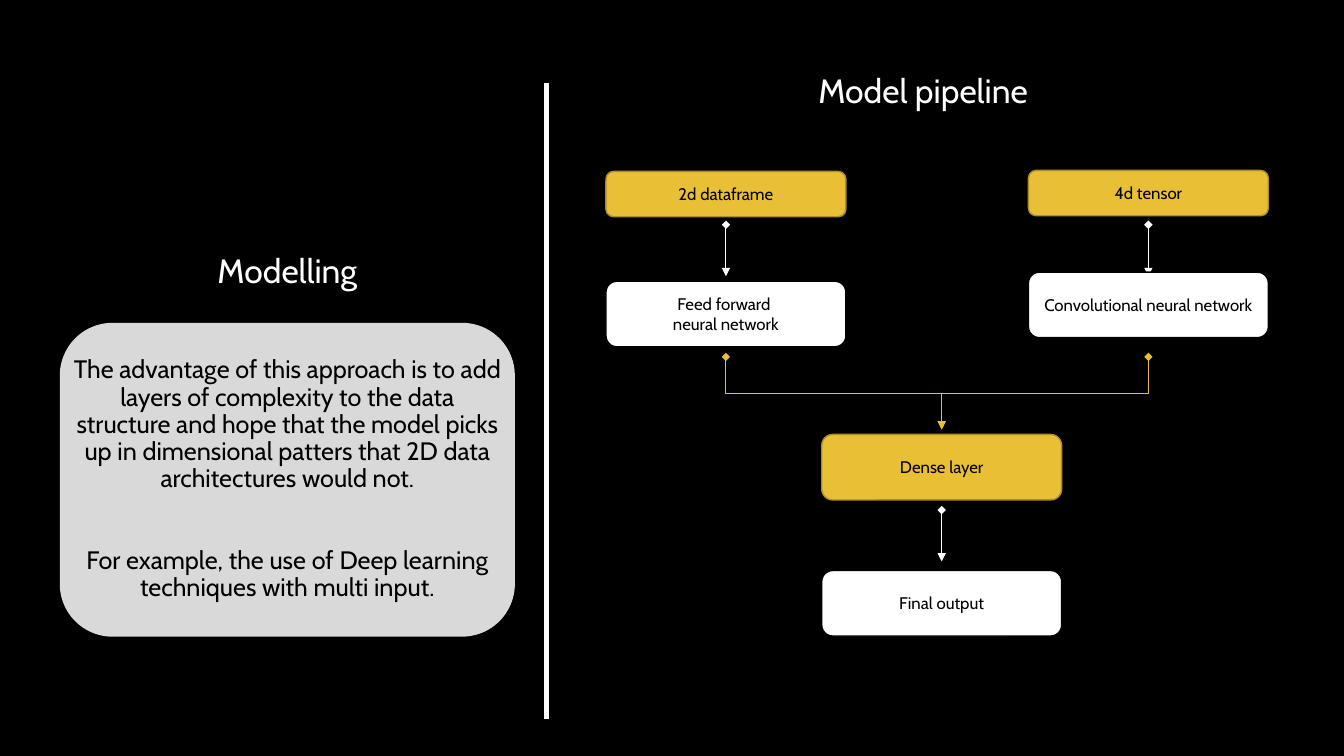
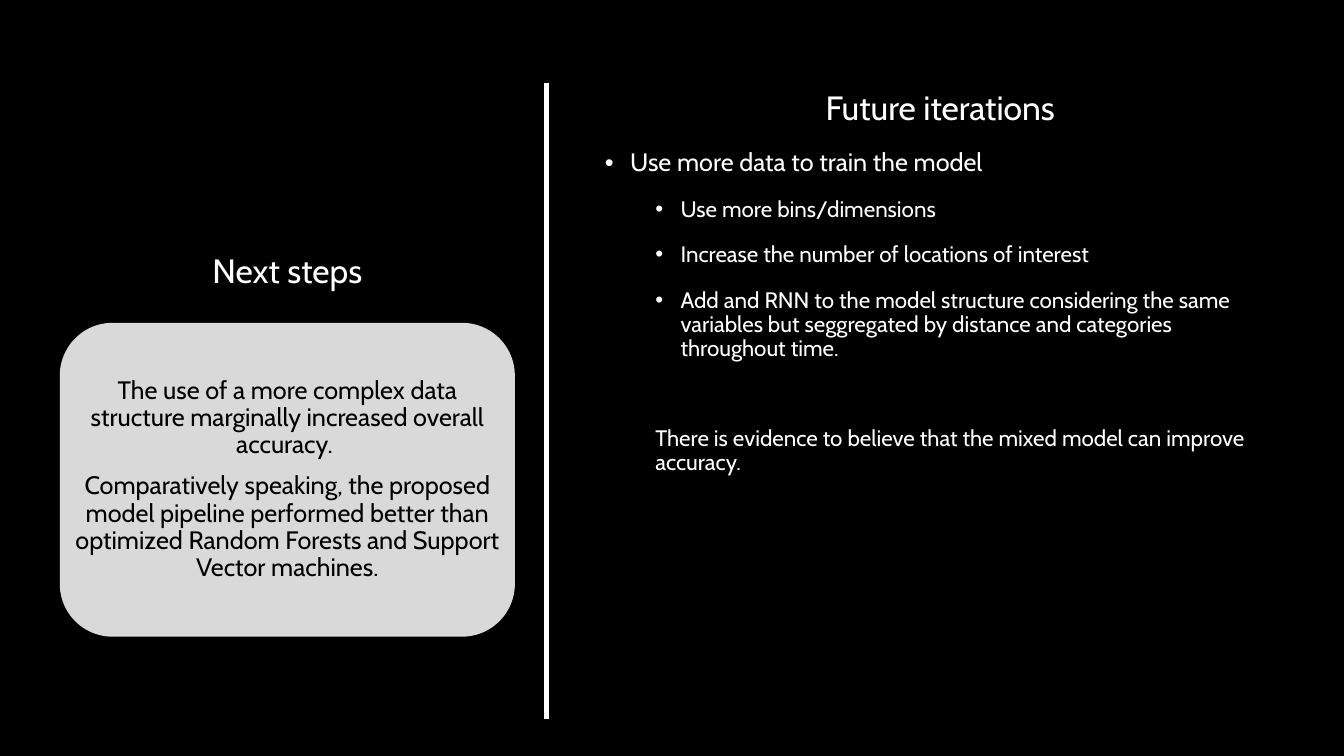
from dataclasses import dataclass

import pptx
import pptx.dml.color
import pptx.enum.shapes
import pptx.enum.text
import pptx.oxml.ns
import pptx.util
from lxml import etree
from pptx.util import Inches

COLORS = {
    "black": "000000",
    "white": "FFFFFF",
    "panel": "D9D9D9",
    "gold": "E9BF35",
    "gold_edge": "AC8D27",
}
FONT = "Cabin"
LINE_SPACING = 0.9
PANEL_LEFT, PANEL_TOP, PANEL_WIDTH, PANEL_HEIGHT = 0.6, 3.21, 4.5, 3.1
TITLE_TOP, HEADING_HEIGHT = 2.2, 1.01
RIGHT_WIDTH = 6.85
DIVIDER_X, DIVIDER_TOP, DIVIDER_BOTTOM = 5.42, 0.82, 7.13
BOX_WIDTH, INPUT_HEIGHT, STAGE_HEIGHT = 2.38, 0.45, 0.65
ARROW_LENGTH, MERGE_HEIGHT = 0.51, 0.72
LEFT_X, MIDDLE_X, RIGHT_X = 7.2, 9.34, 11.39

Align = pptx.enum.text.PP_ALIGN
Anchor = pptx.enum.text.MSO_ANCHOR
ConnectorType = pptx.enum.shapes.MSO_CONNECTOR


@dataclass(frozen=True)
class Item:
    text: str
    size: float = 18
    before: float = 10
    after: float = 0
    level: int = 0
    margin: float = 0
    hanging: float = 0
    bullet: str = ""


@dataclass(frozen=True)
class Box:
    text: str
    center: float
    top: float
    height: float
    fill: str
    edge: str


@dataclass(frozen=True)
class Arrow:
    begin_x: float
    begin_y: float
    end_x: float
    end_y: float
    color: str = "white"


def sub_item(text: str) -> Item:
    return Item(text, 16, 5, 10, 1, 0.75, -0.25, "•")


BOXES = [
    Box("2d dataframe", LEFT_X, 1.7, INPUT_HEIGHT, "gold", "gold_edge"),
    Box("4d tensor", RIGHT_X, 1.69, INPUT_HEIGHT, "gold", "gold_edge"),
    Box("Feed forward \nneural network", LEFT_X, 2.79, STAGE_HEIGHT, "white", "black"),
    Box("Convolutional neural network", RIGHT_X, 2.7, STAGE_HEIGHT, "white", "black"),
    Box("Dense layer", MIDDLE_X, 4.31, STAGE_HEIGHT, "gold", "gold_edge"),
    Box("Final output", MIDDLE_X, 5.66, STAGE_HEIGHT, "white", "black"),
]
ARROWS = [
    Arrow(x, y, x, y + ARROW_LENGTH)
    for x, y in ((LEFT_X, 2.23), (RIGHT_X, 2.23), (MIDDLE_X, 5.06))
] + [
    Arrow(x, 3.54, MIDDLE_X, 3.54 + MERGE_HEIGHT, "gold") for x in (LEFT_X, RIGHT_X)
]
MODELLING = [
    Item(
        "The advantage of this approach is to add layers of complexity to the data "
        "structure and hope that the model picks up in dimensional patters that 2D "
        "data architectures would not."
    ),
    Item("For example, the use of Deep learning techniques with multi input.", before=39),
]
NEXT_STEPS = [
    Item(
        "The use of a more complex data structure marginally increased overall accuracy. "
    ),
    Item(
        "Comparatively speaking, the proposed model pipeline performed better than "
        "optimized Random Forests and Support Vector machines."
    ),
]
ITERATIONS = [
    Item("Use more data to train the model", 18, 10, 10, 0, 0.25, -0.25, "•"),
    sub_item("Use more bins/dimensions"),
    sub_item("Increase the number of locations of interest"),
    sub_item(
        "Add and RNN to the model structure considering the same variables but "
        "seggregated by distance and categories throughout time."
    ),
    Item(
        "There is evidence to believe that the mixed model can improve accuracy.",
        16, 37, 10, 1, 0.5,
    ),
]


def rgb(name: str) -> pptx.dml.color.RGBColor:
    return pptx.dml.color.RGBColor.from_string(COLORS[name])


def add_xml(parent, tag: str, **attributes: str) -> None:
    etree.SubElement(parent, pptx.oxml.ns.qn(tag), attributes)


def style_paragraph(paragraph, size: float, color: str, alignment) -> None:
    paragraph.alignment = alignment
    for run in paragraph.runs:
        run.font.size = pptx.util.Pt(size)
        run.font.name = FONT
        run.font.color.rgb = rgb(color)


def place(shape, left: float, top: float, width: float, height: float) -> None:
    shape.left, shape.top = Inches(left), Inches(top)
    shape.width, shape.height = Inches(width), Inches(height)


def write_heading(shape, text: str, anchor) -> None:
    frame = shape.text_frame
    frame.text = text
    frame.word_wrap = True
    frame.auto_size = pptx.enum.text.MSO_AUTO_SIZE.NONE
    frame.vertical_anchor = anchor
    frame.paragraphs[0].line_spacing = LINE_SPACING
    style_paragraph(frame.paragraphs[0], 24, "white", Align.CENTER)


def add_right_heading(slide, text: str, left: float, top: float) -> None:
    shape = slide.shapes.add_textbox(
        Inches(left), Inches(top), Inches(RIGHT_WIDTH), Inches(HEADING_HEIGHT)
    )
    write_heading(shape, text, Anchor.TOP)


def write_items(shape, items: list[Item], color: str, alignment, anchor) -> None:
    frame = shape.text_frame
    frame.text = "\n".join(item.text for item in items)
    frame.word_wrap = True
    frame.auto_size = pptx.enum.text.MSO_AUTO_SIZE.NONE
    frame.vertical_anchor = anchor
    for paragraph, item in zip(frame.paragraphs, items):
        paragraph.level = item.level
        paragraph.line_spacing = LINE_SPACING
        paragraph.space_before = pptx.util.Pt(item.before)
        paragraph.space_after = pptx.util.Pt(item.after)
        style_paragraph(paragraph, item.size, color, alignment)
        properties = paragraph._p.get_or_add_pPr()
        properties.set("marL", str(Inches(item.margin)))
        properties.set("indent", str(Inches(item.hanging)))
        if item.bullet:
            add_xml(properties, "a:buFont", typeface="Arial")
            add_xml(properties, "a:buChar", char=item.bullet)
        else:
            add_xml(properties, "a:buNone")


def add_round_box(
    slide, left: float, top: float, width: float, height: float, fill: str, edge: str
):
    shape = slide.shapes.add_shape(
        pptx.enum.shapes.MSO_SHAPE.ROUNDED_RECTANGLE,
        Inches(left), Inches(top), Inches(width), Inches(height),
    )
    shape.shadow.inherit = False
    shape.fill.solid()
    shape.fill.fore_color.rgb = rgb(fill)
    shape.line.color.rgb = rgb(edge)
    shape.line.width = pptx.util.Pt(1)
    return shape


def add_pipeline_box(slide, box: Box) -> None:
    shape = add_round_box(
        slide, box.center - BOX_WIDTH / 2, box.top, BOX_WIDTH, box.height,
        box.fill, box.edge,
    )
    shape.text_frame.text = box.text
    shape.text_frame.word_wrap = True
    shape.text_frame.vertical_anchor = Anchor.MIDDLE
    for paragraph in shape.text_frame.paragraphs:
        style_paragraph(paragraph, 12, "black", Align.CENTER)


def add_line(
    slide, kind, begin: tuple[float, float], end: tuple[float, float],
    color: str, width: float,
):
    connector = slide.shapes.add_connector(
        kind, Inches(begin[0]), Inches(begin[1]), Inches(end[0]), Inches(end[1])
    )
    connector.line.color.rgb = rgb(color)
    connector.line.width = pptx.util.Pt(width)
    add_xml(connector.element.spPr, "a:effectLst")
    return connector


def add_arrow(slide, arrow: Arrow) -> None:
    across, down = arrow.end_x - arrow.begin_x, arrow.end_y - arrow.begin_y
    if across:
        center_x, center_y = arrow.begin_x + across / 2, arrow.begin_y + down / 2
        half_width, half_height = down / 2, abs(across) / 2
        connector = add_line(
            slide, ConnectorType.ELBOW,
            (center_x - half_width, center_y - half_height),
            (center_x + half_width, center_y + half_height),
            arrow.color, 0.75,
        )
        transform = connector.element.spPr.find(pptx.oxml.ns.qn("a:xfrm"))
        transform.set("rot", str((270 if across > 0 else 90) * 60000))
        if across > 0:
            transform.set("flipH", "1")
    else:
        connector = add_line(
            slide, ConnectorType.STRAIGHT, (arrow.begin_x, arrow.begin_y),
            (arrow.end_x, arrow.end_y), arrow.color, 0.75,
        )
    line = connector.line._get_or_add_ln()
    add_xml(line, "a:headEnd", type="diamond")
    add_xml(line, "a:tailEnd", type="triangle")


def add_split_slide(presentation, layout: int, title: str, items: list[Item]):
    slide = presentation.slides.add_slide(presentation.slide_layouts[layout])
    place(slide.shapes.title, PANEL_LEFT, TITLE_TOP, PANEL_WIDTH, HEADING_HEIGHT)
    write_heading(slide.shapes.title, title, Anchor.MIDDLE)
    body = slide.placeholders[1]
    place(body, PANEL_LEFT, PANEL_TOP, PANEL_WIDTH, PANEL_HEIGHT)
    write_items(body, items, "black", Align.CENTER, Anchor.MIDDLE)
    panel = add_round_box(
        slide, PANEL_LEFT, PANEL_TOP, PANEL_WIDTH, PANEL_HEIGHT, "panel", "panel"
    )
    body.element.addprevious(panel.element)
    add_line(
        slide, ConnectorType.STRAIGHT, (DIVIDER_X, DIVIDER_TOP),
        (DIVIDER_X, DIVIDER_BOTTOM), "white", 3,
    )
    return slide


def build_modelling(presentation) -> None:
    slide = add_split_slide(presentation, 1, "Modelling", MODELLING)
    add_right_heading(slide, "Model pipeline", 5.73, 0.69)
    for arrow in ARROWS:
        add_arrow(slide, arrow)
    for box in BOXES:
        add_pipeline_box(slide, box)


def build_next_steps(presentation) -> None:
    slide = add_split_slide(presentation, 3, "Next steps", NEXT_STEPS)
    iterations = slide.placeholders[2]
    place(iterations, 5.9, 1.44, RIGHT_WIDTH, 5.52)
    write_items(iterations, ITERATIONS, "white", Align.LEFT, Anchor.TOP)
    add_right_heading(slide, "Future iterations", 5.9, 0.86)


def main() -> None:
    presentation = pptx.Presentation()
    presentation.slide_width = Inches(13.33)
    presentation.slide_height = Inches(7.5)
    background = presentation.slide_master.background.fill
    background.solid()
    background.fore_color.rgb = rgb("black")
    build_modelling(presentation)
    build_next_steps(presentation)
    presentation.save("out.pptx")


if __name__ == "__main__":
    main()
